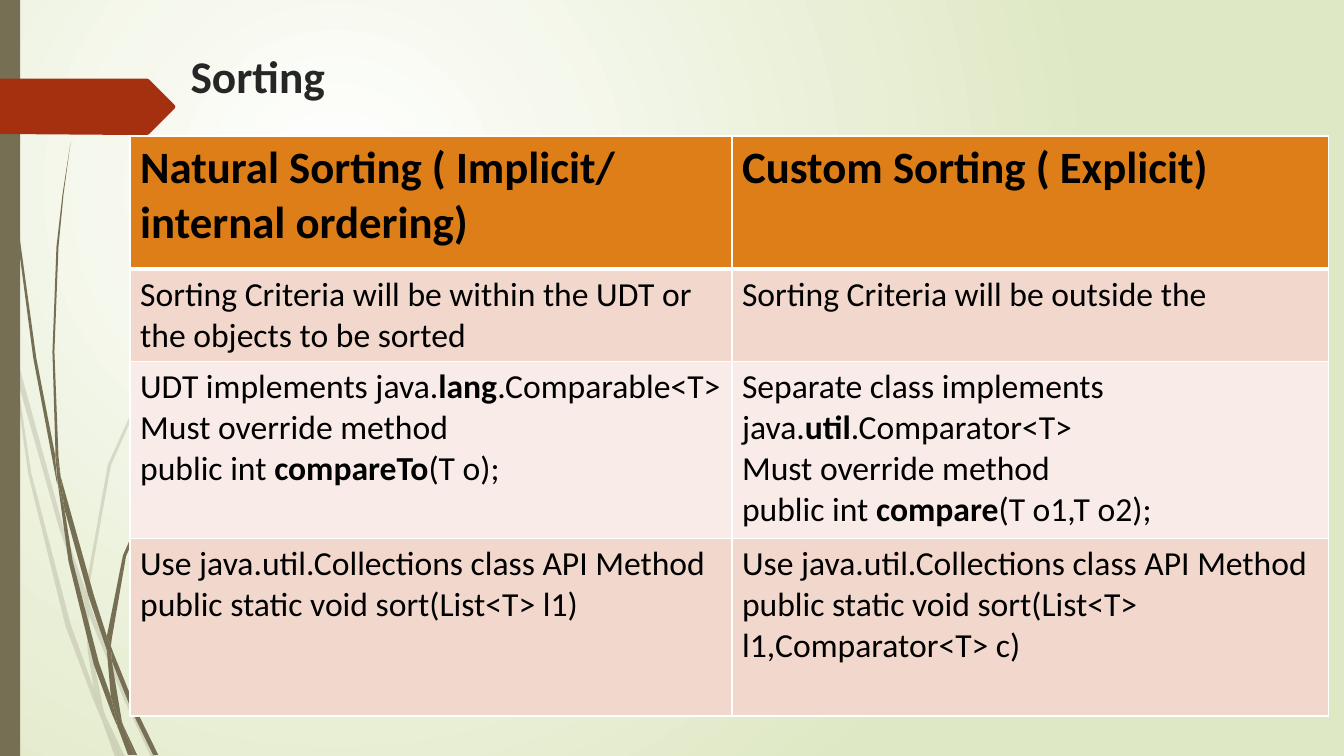
import dataclasses

import lxml.etree
import pptx
import pptx.dml.color
import pptx.enum.shapes
import pptx.enum.text
import pptx.oxml
import pptx.oxml.ns
import pptx.util


@dataclasses.dataclass(frozen=True)
class Theme:
    font: str = "Calibri"
    title_size: float = 32.4
    header_size: float = 32
    body_size: float = 24
    title: str = "262626"
    text: str = "000000"
    center: str = "FFFFFF"
    edge: str = "DFE8C4"
    olive: str = "766F54"
    tag: str = "A53010"
    header: str = "DE7E18"
    band_dark: str = "F2D8CC"
    band_light: str = "F9ECE8"
    border: str = "FFFFFF"


theme = Theme()
color = pptx.dml.color.RGBColor.from_string

# Grid of 1333 columns by 750 rows
GRID = pptx.util.Inches(0.01)
COLUMNS, ROWS = 1333, 750


def paint(shape, fill, opacity=100):
    """Give a shape a plain fill without line or shadow."""
    shape.shadow.inherit = False
    shape.fill.solid()
    shape.fill.fore_color.rgb = color(fill)
    shape.line.fill.background()
    if opacity < 100:
        solid = shape.element.spPr.find(pptx.oxml.ns.qn("a:solidFill"))
        alpha = lxml.etree.SubElement(solid[0], pptx.oxml.ns.qn("a:alpha"))
        alpha.set("val", str(opacity * 1000))


def draw_outline(shapes, points, fill, opacity=100):
    """Draw a closed, filled outline through points given in grid units."""
    builder = shapes.build_freeform(*points[0], scale=float(GRID))
    builder.add_line_segments(points[1:], close=True)
    paint(builder.convert_to_shape(), fill, opacity)


presentation = pptx.Presentation()
presentation.slide_width = COLUMNS * GRID
presentation.slide_height = ROWS * GRID
slide = presentation.slides.add_slide(presentation.slide_layouts[5])

# Background: radial gradient centred in the upper left
background = slide.background.fill
background.gradient()
for stop, stop_color in zip(background.gradient_stops, (theme.center, theme.edge)):
    stop.color.rgb = color(stop_color)
gradient = next(slide.element.iter(pptx.oxml.ns.qn("a:gradFill")))
gradient.remove(gradient.find(pptx.oxml.ns.qn("a:lin")))
gradient.append(pptx.oxml.parse_xml(
    f'<a:path {pptx.oxml.ns.nsdecls("a")} path="circle">'
    '<a:fillToRect l="50000" t="50000" r="100000" b="100000"/></a:path>'
))

# Grass: the outline of each piece of blade, as columns and rows
pale_grass = [
    [(11, 350), (9, 322), (0, 282), (0, 299), (10, 344)],
    [(58, 522), (84, 599), (85, 586), (62, 520), (14, 345), (17, 376)],
    [(92, 607), (88, 596), (88, 610), (123, 694), (150, 751), (155, 751), (127, 692)],
    [(119, 751), (124, 751), (105, 711)],
    [(93, 683), (70, 619), (31, 469), (17, 376), (11, 350), (28, 470), (65, 621),
     (92, 693), (101, 714), (99, 707)],
    [(84, 599), (87, 646), (93, 683), (96, 692), (105, 711), (103, 706), (91, 646),
     (88, 610), (88, 608)],
    [(88, 584), (110, 462), (160, 349), (229, 245), (268, 198), (290, 175), (312, 154),
     (312, 153), (289, 175), (268, 197), (228, 244), (158, 348), (107, 461), (85, 584),
     (85, 586), (88, 596)],
    [(101, 714), (114, 751), (119, 751)],
    [(88, 608), (88, 610), (88, 596), (85, 586), (84, 599)],
    [(96, 692), (93, 683), (99, 707), (101, 714), (119, 751), (105, 711)],
]
dark_grass = [
    [(7, 110), (17, 233), (33, 355), (56, 477), (57, 481), (55, 457), (55, 453),
     (36, 355), (19, 232), (8, 109), (5, 48), (4, 0), (3, 0), (4, 48)],
    [(88, 592), (106, 645), (106, 633), (106, 631), (93, 590), (60, 472), (64, 505)],
    [(113, 649), (110, 641), (111, 656), (132, 708), (152, 749), (157, 749), (136, 706)],
    [(110, 691), (98, 657), (72, 556), (64, 505), (57, 477), (68, 557), (93, 659),
     (111, 708), (117, 722), (116, 717)],
    [(60, 472), (58, 453), (54, 349), (58, 245), (63, 193), (70, 141), (62, 193),
     (56, 245), (52, 349), (55, 449)],
    [(133, 749), (136, 749), (122, 719)],
    [(57, 477), (64, 505), (60, 472), (55, 449), (55, 453)],
    [(111, 633), (125, 552), (158, 476), (205, 406), (231, 374), (245, 359), (261, 344),
     (260, 344), (245, 358), (231, 373), (204, 405), (156, 474), (122, 551), (106, 631),
     (110, 641)],
    [(117, 722), (127, 749), (131, 749)],
    [(106, 645), (110, 691), (116, 706), (122, 719), (121, 716), (111, 656), (109, 651)],
    [(106, 645), (109, 651), (111, 656), (110, 641), (106, 631), (106, 633)],
    [(116, 706), (110, 691), (116, 717), (117, 722), (130, 749), (133, 749), (122, 719)],
]
for grass, opacity in ((pale_grass, 20), (dark_grass, 100)):
    for piece in grass:
        draw_outline(slide.shapes, piece, theme.olive, opacity)

# Side bar and red tag
side_bar = slide.shapes.add_shape(
    pptx.enum.shapes.MSO_SHAPE.RECTANGLE, 0, 0, 20 * GRID, ROWS * GRID
)
paint(side_bar, theme.olive)
draw_outline(
    slide.shapes,
    [(173, 108), (148, 133), (146, 134), (136, 134), (0, 133), (0, 78),
     (136, 78), (146, 78), (148, 79), (173, 104), (174, 106)],
    theme.tag,
)

# Title
title = slide.shapes.title
title.left, title.top = 179 * GRID, 43 * GRID
title.width, title.height = 975 * GRID, 68 * GRID
title.text_frame.text = "Sorting"
title.text_frame.vertical_anchor = pptx.enum.text.MSO_ANCHOR.TOP
paragraph = title.text_frame.paragraphs[0]
paragraph.alignment = pptx.enum.text.PP_ALIGN.LEFT
title_font = paragraph.runs[0].font
title_font.name, title_font.size = theme.font, pptx.util.Pt(theme.title_size)
title_font.bold = True
title_font.color.rgb = color(theme.title)

# Comparison table: asterisks enclose bold words
comparison = [
    ("*Natural Sorting ( Implicit/ internal ordering)*",
     "*Custom Sorting ( Explicit)*"),
    ("Sorting Criteria will be within the UDT or the objects to be sorted",
     "Sorting Criteria will be outside the"),
    ("UDT implements java.*lang*.Comparable<T>\nMust override method\n"
     "public int *compareTo*(T o);",
     "Separate class implements java.*util*.Comparator<T>\nMust override method\n"
     "public int *compare*(T o1,T o2);"),
    ("Use java.util.Collections class API Method\n"
     "public static void sort(List<T> l1)",
     "Use java.util.Collections class API Method\n"
     "public static void sort(List<T> l1,Comparator<T> c)"),
]
column_widths = (597, 592)
row_heights = (132, 87, 176, 176)
row_fills = (theme.header, theme.band_dark, theme.band_light, theme.band_dark)

table = slide.shapes.add_table(
    len(row_heights), len(column_widths), 129 * GRID, 135 * GRID,
    sum(column_widths) * GRID, sum(row_heights) * GRID,
).table
for column, width in zip(table.columns, column_widths):
    column.width = width * GRID
for row_index, (row, texts) in enumerate(zip(table.rows, comparison)):
    row.height = row_heights[row_index] * GRID
    size = theme.body_size if row_index else theme.header_size
    for cell, text in zip(row.cells, texts):
        cell.fill.solid()
        cell.fill.fore_color.rgb = color(row_fills[row_index])

        # Text
        cell.text_frame.text = text
        for paragraph in cell.text_frame.paragraphs:
            parts = paragraph.text.split("*")
            paragraph.text = ""
            for part_index, part in enumerate(parts):
                if part:
                    run = paragraph.add_run()
                    run.text = part
                    run.font.name, run.font.size = theme.font, pptx.util.Pt(size)
                    run.font.bold = part_index % 2 == 1
                    run.font.color.rgb = color(theme.text)

        # Borders: a heavier rule parts the header from the body
        heavy_side = {0: "B", 1: "T"}.get(row_index)
        properties = cell._tc.get_or_add_tcPr()
        for position, side in enumerate("LRTB"):
            weight = pptx.util.Pt(3 if side == heavy_side else 1)
            properties.insert(position, pptx.oxml.parse_xml(
                f'<a:ln{side} {pptx.oxml.ns.nsdecls("a")} w="{weight}"><a:solidFill>'
                f'<a:srgbClr val="{theme.border}"/></a:solidFill></a:ln{side}>'
            ))

presentation.save("out.pptx")
